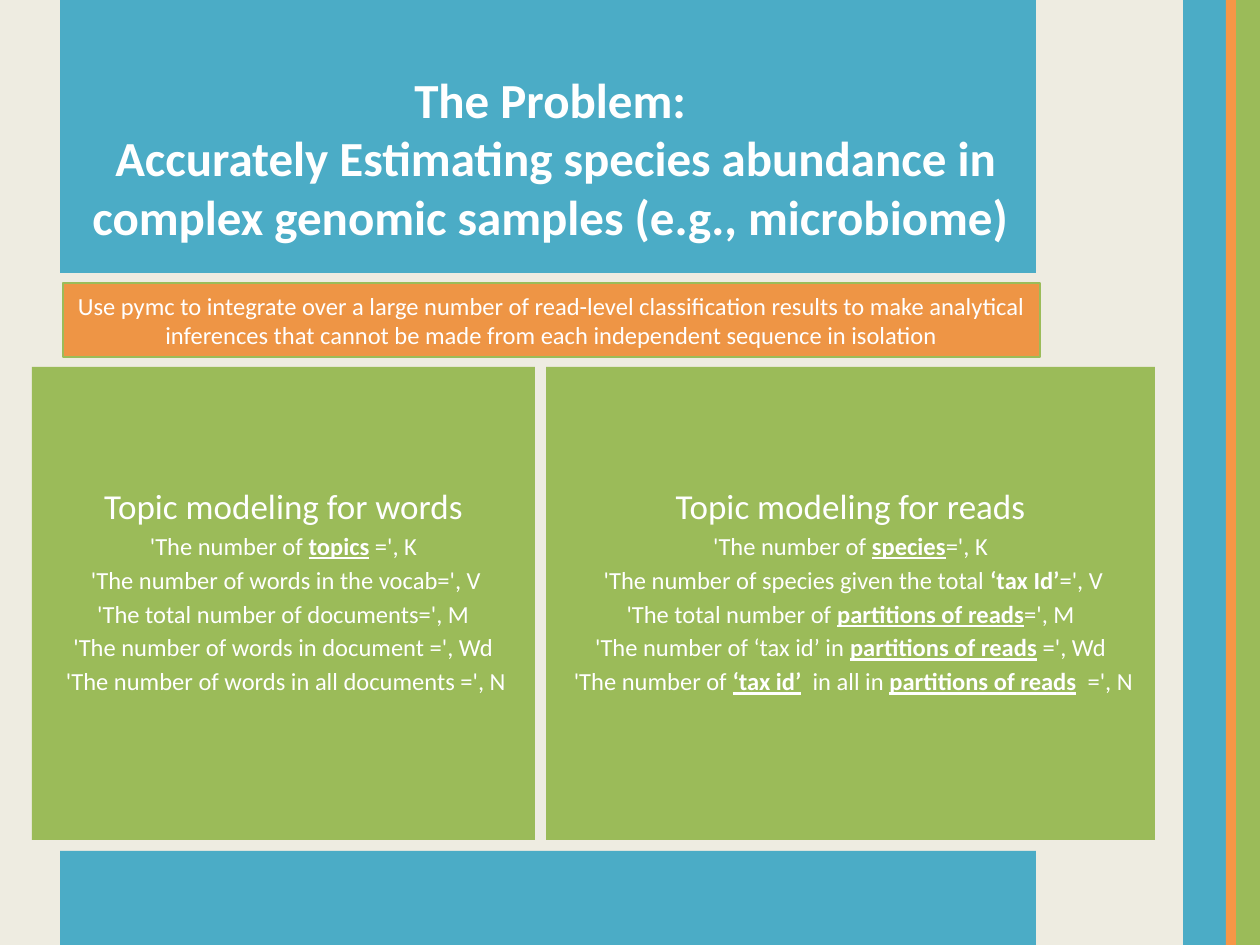
from pptx import Presentation
from pptx.dml.color import RGBColor
from pptx.enum.shapes import MSO_SHAPE
from pptx.enum.text import MSO_ANCHOR, PP_ALIGN
from pptx.util import Emu, Pt

SCALE = 914400 / 126
WIDTH, HEIGHT = 1260, 945
FONT = "Calibri"
WHITE = RGBColor(0xFF, 0xFF, 0xFF)
CREAM = RGBColor(0xEE, 0xEC, 0xE1)
BLUE = RGBColor(0x4B, 0xAC, 0xC6)
GREEN = RGBColor(0x9B, 0xBB, 0x59)
ORANGE = RGBColor(0xF7, 0x96, 0x46)
BANNER_ORANGE = RGBColor(0xEE, 0x95, 0x45)
BANNER_EDGE = RGBColor(0x9B, 0xBC, 0x59)

BOLD = {"bold": True}
KEY = {"bold": True, "underline": True}

TITLE = [
    "The Problem:",
    " Accurately Estimating species abundance in complex genomic samples (e.g., microbiome)",
]
SUMMARY = (
    "Use pymc to integrate over a large number of read-level classification results "
    "to make analytical inferences that cannot be made from each independent sequence in isolation"
)
WORDS = [
    ["'The number of ", ("topics", KEY), " =', K"],
    [" 'The number of words in the vocab=', V"],
    ["'The total number of documents=', M"],
    ["'The number of words in document =', Wd"],
    [" 'The number of words in all documents =', N"],
]
READS = [
    ["'The number of ", ("species", KEY), "=', K"],
    [" 'The number of species given the total ", ("‘tax Id’", BOLD), "=', V"],
    ["'The total number of ", ("partitions of reads", KEY), "=', M"],
    ["'The number of ‘tax id’ in ", ("partitions of reads", KEY), " =', Wd"],
    [" 'The number of ", ("‘tax id’", KEY), "  in all in ",
     ("partitions of reads", KEY), "  =', N"],
]


def px(length):
    return Emu(round(length * SCALE))


def add_block(page, box, fill, edge=None):
    block = page.shapes.add_shape(MSO_SHAPE.RECTANGLE, *map(px, box))
    block.shadow.inherit = False
    block.fill.solid()
    block.fill.fore_color.rgb = fill
    if edge is None:
        block.line.fill.background()
    else:
        block.line.color.rgb = edge
        block.line.width = Pt(0.75)
    return block


def add_span(para, text, size=14, bold=False, underline=False):
    span = para.add_run()
    span.text = text
    span.font.name = FONT
    span.font.size = Pt(size)
    span.font.bold = bold
    span.font.underline = underline
    span.font.color.rgb = WHITE


def next_para(frame, first=False, before=0):
    para = frame.paragraphs[0] if first else frame.add_paragraph()
    para.alignment = PP_ALIGN.CENTER
    para.space_before = Pt(before)
    return para


def add_stripes(page, box):
    left, top, width, height = box
    for offset, stripe, color in ((0, 44, BLUE), (width - 24, 24, GREEN), (43, 10, ORANGE)):
        add_block(page, (left + offset, top, stripe, height), color)


def add_header(page, box):
    left, top, width, height = box
    add_block(page, box, BLUE)
    title = page.shapes.add_textbox(*map(px, (left + 13, top + 63, width - 22, 190)))
    frame = title.text_frame
    frame.word_wrap = True
    for index, text in enumerate(TITLE):
        add_span(next_para(frame, first=index == 0), text, size=28, bold=True)


def add_banner(page, box):
    frame = add_block(page, box, BANNER_ORANGE, edge=BANNER_EDGE).text_frame
    frame.word_wrap = True
    frame.vertical_anchor = MSO_ANCHOR.MIDDLE
    add_span(next_para(frame, first=True), SUMMARY)


def add_panel(page, box, heading, lines):
    frame = add_block(page, box, GREEN).text_frame
    frame.word_wrap = True
    frame.vertical_anchor = MSO_ANCHOR.MIDDLE
    frame.margin_bottom = px(33)
    add_span(next_para(frame, first=True), heading, size=20)
    for line in lines:
        para = next_para(frame, before=2.5)
        for piece in line:
            text, style = (piece, {}) if isinstance(piece, str) else piece
            add_span(para, text, **style)


def main():
    deck = Presentation()
    deck.slide_width, deck.slide_height = px(WIDTH), px(HEIGHT)
    page = deck.slides.add_slide(deck.slide_layouts[6])
    page.background.fill.solid()
    page.background.fill.fore_color.rgb = CREAM

    add_stripes(page, (1183, 0, 77, HEIGHT))
    add_block(page, (60, 851, 976, 94), BLUE)
    add_header(page, (60, 0, 976, 273))
    add_panel(page, (32, 367, 503, 473), "Topic modeling for words", WORDS)
    add_panel(page, (546, 367, 609, 473), "Topic modeling for reads", READS)
    add_banner(page, (63, 283, 977, 74))
    deck.save("out.pptx")


if __name__ == "__main__":
    main()
